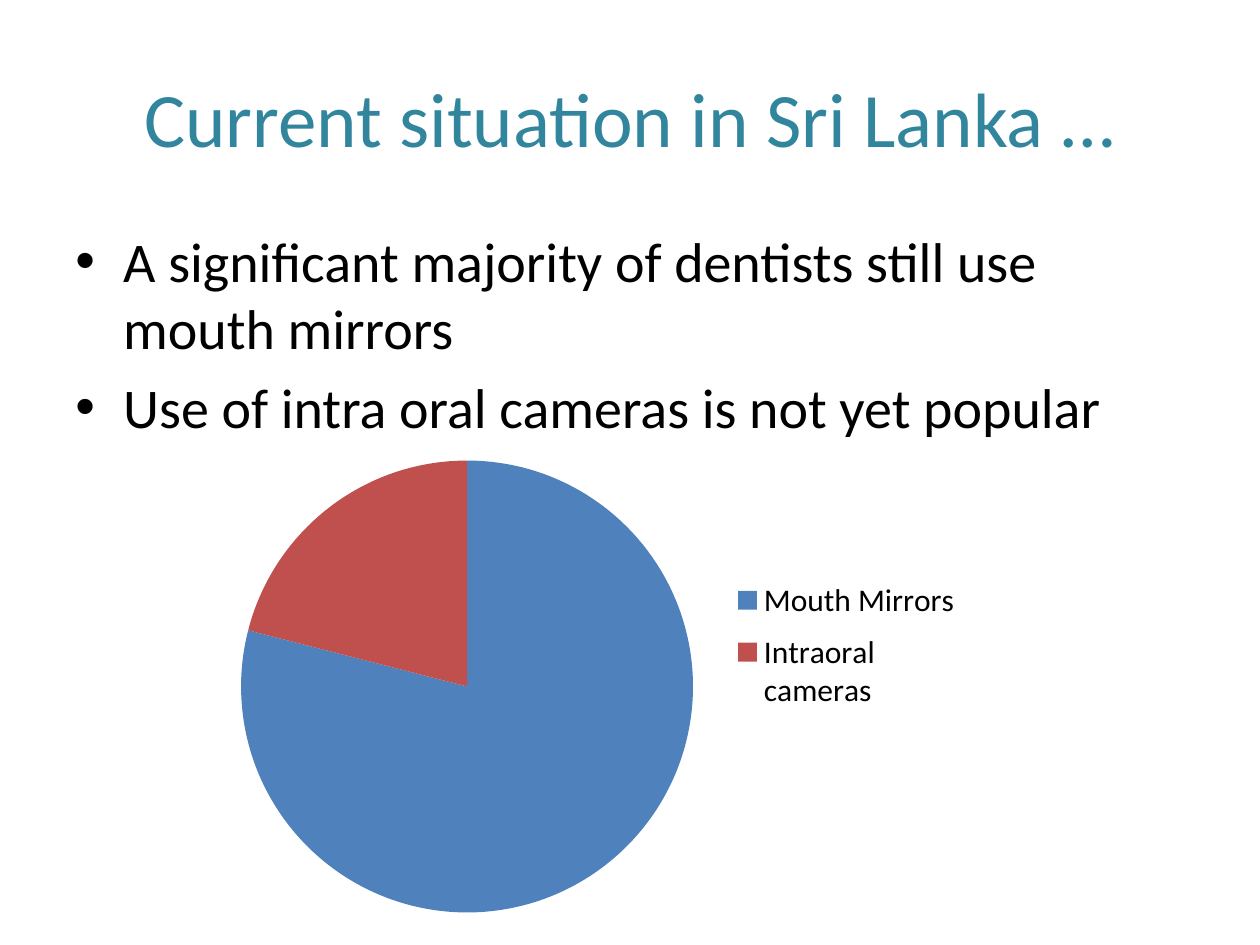
from dataclasses import dataclass

from lxml.etree import SubElement
from pptx import Presentation
from pptx.chart.data import CategoryChartData
from pptx.dml.color import RGBColor
from pptx.enum.chart import XL_CHART_TYPE, XL_LEGEND_POSITION
from pptx.enum.text import MSO_ANCHOR, PP_ALIGN
from pptx.oxml import parse_xml
from pptx.oxml.ns import nsdecls, qn
from pptx.util import Inches, Pt


@dataclass
class TextBlock:
    left: float
    top: float
    width: float
    height: float
    lines: list[str]
    size: int
    color: str
    anchor: MSO_ANCHOR
    paragraph_format: dict
    bulleted: bool = False


@dataclass
class Slice:
    label: str
    value: int
    color: str


BLOCKS = [
    TextBlock(0.5, 0.3, 9, 1.25, ["Current situation in Sri Lanka …"], 44, "31859C",
              MSO_ANCHOR.MIDDLE, {"alignment": PP_ALIGN.CENTER}),
    TextBlock(0.5, 1.75, 9, 4.95,
              ["A significant majority of dentists still use mouth mirrors",
               "Use of intra oral cameras is not yet popular"], 32, "000000",
              MSO_ANCHOR.TOP, {"alignment": PP_ALIGN.LEFT, "space_before": Pt(6.4)}, True),
]
SLICES = [Slice("Mouth Mirrors", 79, "4F81BD"), Slice("Intraoral cameras", 21, "C0504D")]


def rgb(color: str) -> RGBColor:
    return RGBColor.from_string(color)


def set_font(font, size: int, color: str) -> None:
    for name, value in {"name": "Calibri", "size": Pt(size)}.items():
        setattr(font, name, value)
    font.color.rgb = rgb(color)


def add_bullet(paragraph) -> None:
    properties = paragraph._p.get_or_add_pPr()
    indent = Inches(0.38)
    properties.set("marL", str(indent))
    properties.set("indent", str(-indent))
    SubElement(properties, qn("a:buFont")).set("typeface", "Arial")
    SubElement(properties, qn("a:buChar")).set("char", "•")


def add_text(slide, block: TextBlock) -> None:
    shape = slide.shapes.add_textbox(
        Inches(block.left), Inches(block.top), Inches(block.width), Inches(block.height))
    frame = shape.text_frame
    frame.word_wrap = True
    frame.vertical_anchor = block.anchor
    for index, line in enumerate(block.lines):
        paragraph = frame.add_paragraph() if index else frame.paragraphs[0]
        for name, value in block.paragraph_format.items():
            setattr(paragraph, name, value)
        if block.bulleted:
            add_bullet(paragraph)
        run = paragraph.add_run()
        run.text = line
        set_font(run.font, block.size, block.color)


def set_layout(element, position: int, fractions: dict[str, float], inner: bool = False) -> None:
    for existing in element.findall(qn("c:layout")):
        element.remove(existing)
    target = '<c:layoutTarget val="inner"/>' if inner else ""
    modes = "".join(f'<c:{axis}Mode val="edge"/>' for axis in "xy")
    values = "".join(f'<c:{name} val="{value}"/>' for name, value in fractions.items())
    element.insert(position, parse_xml(
        f'<c:layout {nsdecls("c")}><c:manualLayout>{target}{modes}{values}'
        "</c:manualLayout></c:layout>"))


def add_pie(slide, slices: list[Slice]) -> None:
    data = CategoryChartData()
    data.categories = [item.label for item in slices]
    data.add_series("Series 1", [item.value for item in slices])
    chart = slide.shapes.add_chart(
        XL_CHART_TYPE.PIE, Inches(1.67), Inches(3.5), Inches(6.08), Inches(3.86), data).chart
    set_font(chart.font, 18, "000000")
    chart.has_title = False
    chart.has_legend = True
    for name, value in {"position": XL_LEGEND_POSITION.RIGHT, "include_in_layout": False}.items():
        setattr(chart.legend, name, value)
    plot = chart.plots[0]
    plot.vary_by_categories = True
    for index, item in enumerate(slices):
        fill = plot.series[0].points[index].format.fill
        fill.solid()
        fill.fore_color.rgb = rgb(item.color)
    set_layout(chart._chartSpace.chart.plotArea, 0,
               {"x": 0.04, "y": 0.04, "w": 0.59, "h": 0.93}, inner=True)
    set_layout(chart.legend._element, 1, {"x": 0.68, "y": 0.26, "w": 0.3, "h": 0.32})


def main() -> None:
    presentation = Presentation()
    presentation.slide_width = Inches(10)
    presentation.slide_height = Inches(7.5)
    slide = presentation.slides.add_slide(presentation.slide_layouts[6])
    for block in BLOCKS:
        add_text(slide, block)
    add_pie(slide, SLICES)
    presentation.save("out.pptx")


main()
